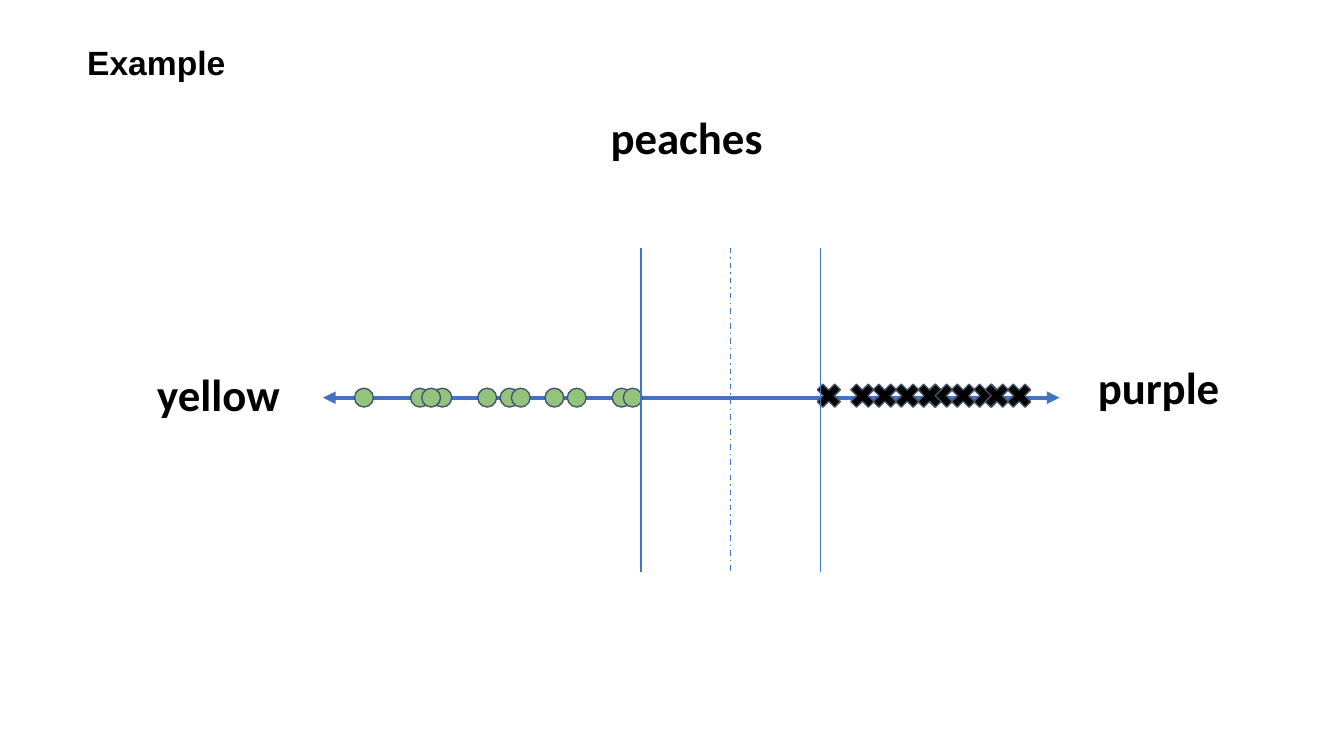
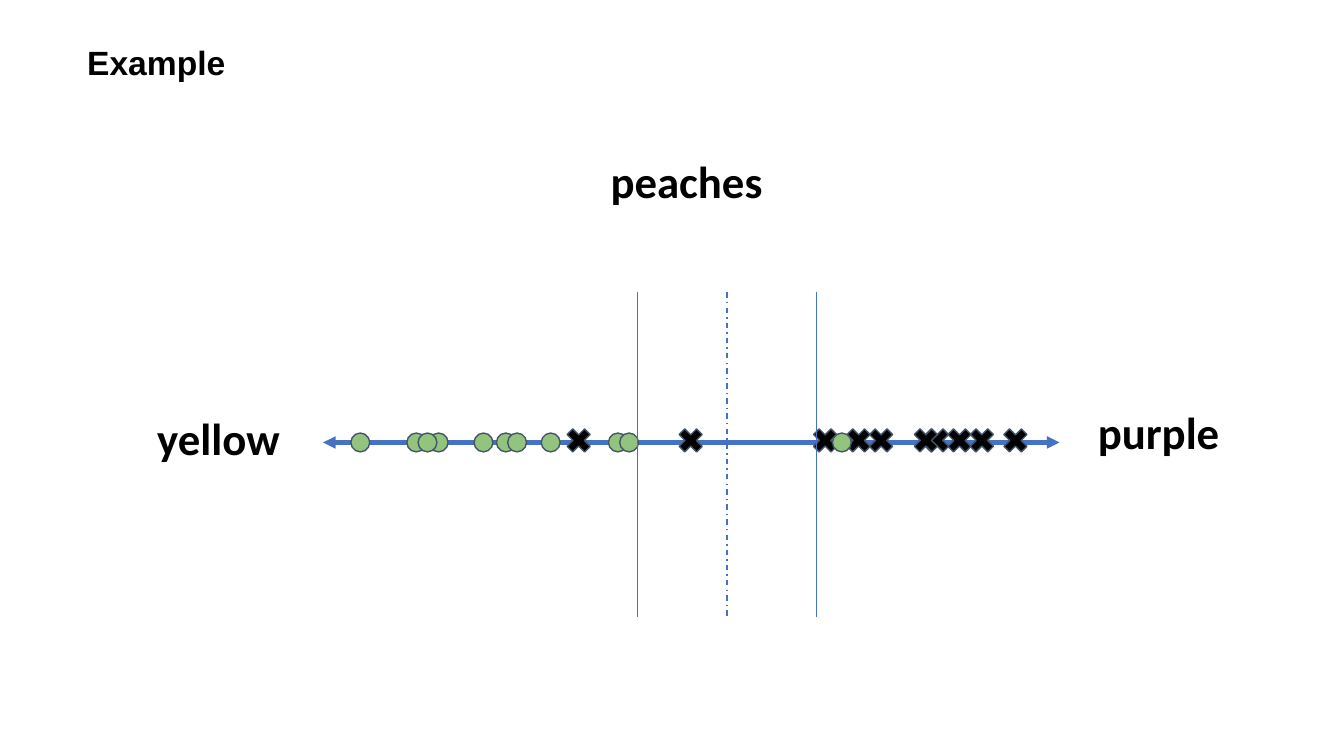
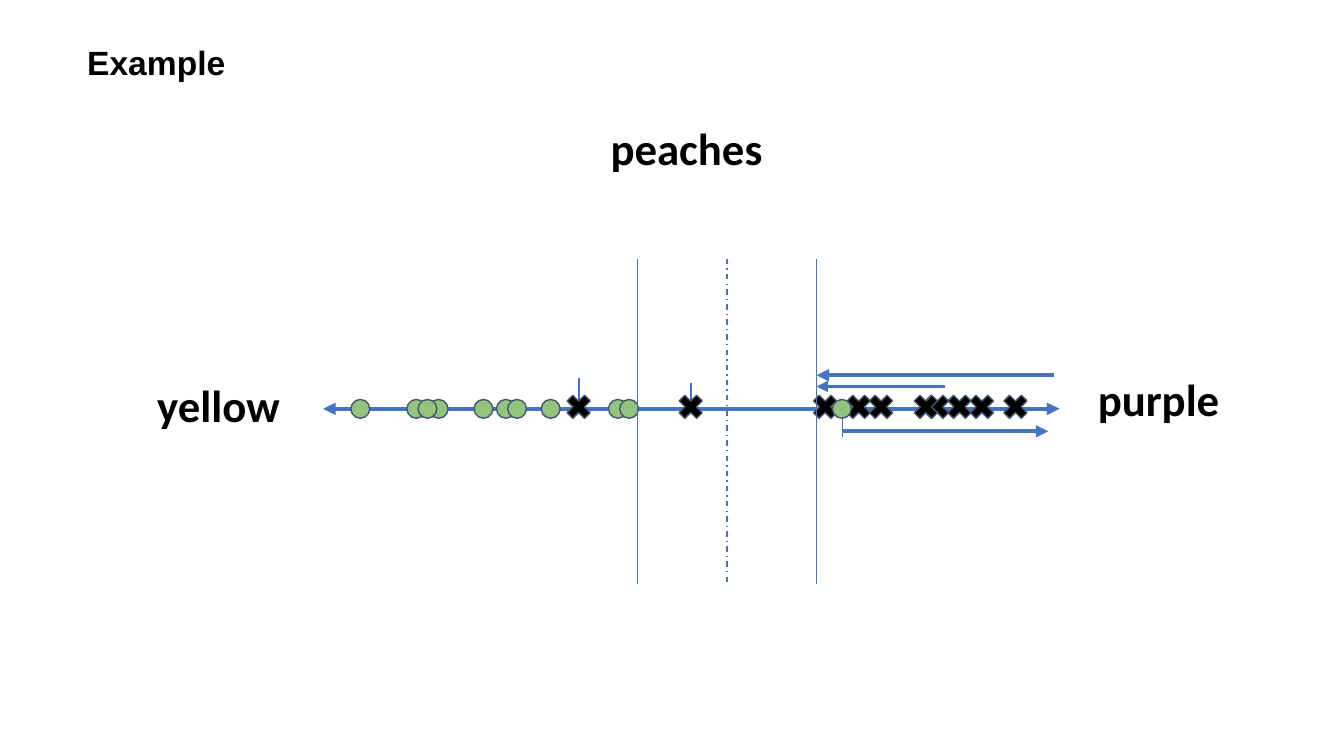
import dataclasses

import pptx
import pptx.dml.color
import pptx.enum.dml
import pptx.enum.shapes
import pptx.enum.text
import pptx.oxml.ns
import pptx.util
from lxml import etree

SHAPE = pptx.enum.shapes.MSO_SHAPE
ALIGN = pptx.enum.text.PP_ALIGN


@dataclasses.dataclass(frozen=True)
class Theme:
    ink: str = "000000"
    axis: str = "4472C4"
    outline: str = "44546A"
    peach: str = "93C47D"
    title_font: str = "Arial"
    label_font: str = "Calibri"
    title_size: float = 18
    label_size: float = 24
    thin: float = 0.75
    medium: float = 1.5
    thick: float = 2.25


@dataclasses.dataclass(frozen=True)
class Box:
    col: float
    row: float


THEME = Theme()
WIDTH, HEIGHT = 120, 67.5  # slide size in grid cells, twelve to the inch

# Rows and columns inside the diagram box
AXIS_ROW = 26.95
AXIS_COLS = (18.85, 84.6)
WALL_TOP, WALL_HEIGHT = 13.55, 29
MARGIN = 8  # from the dashed separator to each wall
CROSS_SIZE, CIRCLE_SIZE = 3, 1.68
TICK = 2.8


def cells(n):
    return pptx.util.Inches(n / 12)


def rgb(code):
    return pptx.dml.color.RGBColor.from_string(code)


def add_text(slide, text, col, row, width, height, font, size, align):
    sp = slide.shapes.add_textbox(cells(col), cells(row), cells(width), cells(height))
    tf = sp.text_frame
    tf.word_wrap = True
    tf.margin_left = tf.margin_right = pptx.util.Inches(0.1)
    tf.margin_top = tf.margin_bottom = pptx.util.Inches(0.1)
    p = tf.paragraphs[0]
    p.alignment = align
    r = p.add_run()
    r.text = text
    r.font.name, r.font.size, r.font.bold = font, pptx.util.Pt(size), True
    r.font.color.rgb = rgb(THEME.ink)


def add_line(slide, start, end, weight, heads=(), dash=None):
    sp = slide.shapes.add_connector(
        pptx.enum.shapes.MSO_CONNECTOR.STRAIGHT, *map(cells, start + end))
    sp.line.color.rgb = rgb(THEME.axis)
    sp.line.width = pptx.util.Pt(weight)
    if dash:
        sp.line.dash_style = dash
    ln = sp.line._get_or_add_ln()
    for head in heads:
        etree.SubElement(ln, pptx.oxml.ns.qn("a:" + head), type="triangle")
    etree.SubElement(sp._element.spPr, pptx.oxml.ns.qn("a:effectLst"))


def add_mark(slide, kind, col, row, size, fill):
    """Place a mark by its centre."""
    sp = slide.shapes.add_shape(kind, cells(col - size / 2), cells(row - size / 2),
                                cells(size), cells(size))
    sp.shadow.inherit = False
    sp.fill.solid()
    sp.fill.fore_color.rgb = rgb(fill)
    sp.line.color.rgb = rgb(THEME.outline)
    sp.line.width = pptx.util.Pt(THEME.thin)
    return sp


def add_title(slide):
    add_text(slide, "Example", 6.6, 2.5, 85.8, 7.6,
             THEME.title_font, THEME.title_size, ALIGN.LEFT)


def add_axis(slide, box):
    for text, col, row, width in (("peaches", 40, 0, 22.6),
                                  ("yellow", 0, 22.95, 19),
                                  ("purple", 83.75, 22.4, 19.4)):
        add_text(slide, text, box.col + col, box.row + row, width, 9.4,
                 THEME.label_font, THEME.label_size, ALIGN.CENTER)
    row = box.row + AXIS_ROW
    left, right = (box.col + col for col in AXIS_COLS)
    add_line(slide, (left, row), (right, row), THEME.thick, ("headEnd", "tailEnd"))


def add_marks(slide, box, separator, crosses, circles):
    """Crosses count columns from the right wall, circles from the leftmost one."""
    row = box.row + AXIS_ROW
    first_cross = box.col + separator + MARGIN + 0.75
    first_circle = box.col + separator - MARGIN - 24.75
    for n in crosses:
        sp = add_mark(slide, SHAPE.MATH_MULTIPLY, first_cross + n, row - 0.18,
                      CROSS_SIZE, THEME.ink)
        sp.adjustments[0] = 0.235
    for n in circles:
        add_mark(slide, SHAPE.OVAL, first_circle + n, row, CIRCLE_SIZE, THEME.peach)


def add_walls(slide, box, separator):
    top = box.row + WALL_TOP
    dash_dot = pptx.enum.dml.MSO_LINE.DASH_DOT
    for offset, dash in ((0, dash_dot), (MARGIN, None), (-MARGIN, None)):
        col = box.col + separator + offset
        add_line(slide, (col, top), (col, top + WALL_HEIGHT), THEME.thin, dash=dash)


def add_ticks(slide, box):
    for col, rise in ((41.7, -TICK), (51.7, -2.3), (65.2, -0.25)):
        col, top = box.col + col, box.row + AXIS_ROW + rise
        add_line(slide, (col, top), (col, top + TICK), THEME.thin)


def add_slack_arrows(slide, box, separator):
    wall = separator + MARGIN
    for start, end, rise, weight in ((74.4, wall, -2, THEME.medium),
                                     (84.1, wall, -3, THEME.thick),
                                     (65.2, 83.6, 2, THEME.thick)):
        row = box.row + AXIS_ROW + rise
        add_line(slide, (box.col + start, row), (box.col + end, row), weight, ("tailEnd",))


def add_example(prs, box, separator, crosses, circles, slack=False):
    slide = prs.slides.add_slide(prs.slide_layouts[6])
    add_title(slide)
    if slack:
        add_ticks(slide, box)
    add_axis(slide, box)
    add_marks(slide, box, separator, crosses, circles)
    add_walls(slide, box, separator)
    if slack:
        add_slack_arrows(slide, box, separator)


def main():
    prs = pptx.Presentation()
    prs.slide_width, prs.slide_height = cells(WIDTH), cells(HEIGHT)

    # Separable classes
    add_example(prs, Box(10, 8.56), 55.25,
                crosses=(17, 12, 14, 15, 5, 7, 10, 0, 3, 9),
                circles=(13, 14, 17, 19, 23, 24, 0, 5, 7, 11, 6))

    # Overlapping classes, without and with slack
    overlap = dict(crosses=(17, 12, 14, -12, 5, -22, 10, 0, 3, 9),
                   circles=(13, 14, 17, 43, 23, 24, 0, 5, 7, 11, 6))
    add_example(prs, Box(10, 12.56), 54.92, **overlap)
    add_example(prs, Box(10, 9.56), 54.92, slack=True, **overlap)

    prs.save("out.pptx")


if __name__ == "__main__":
    main()
